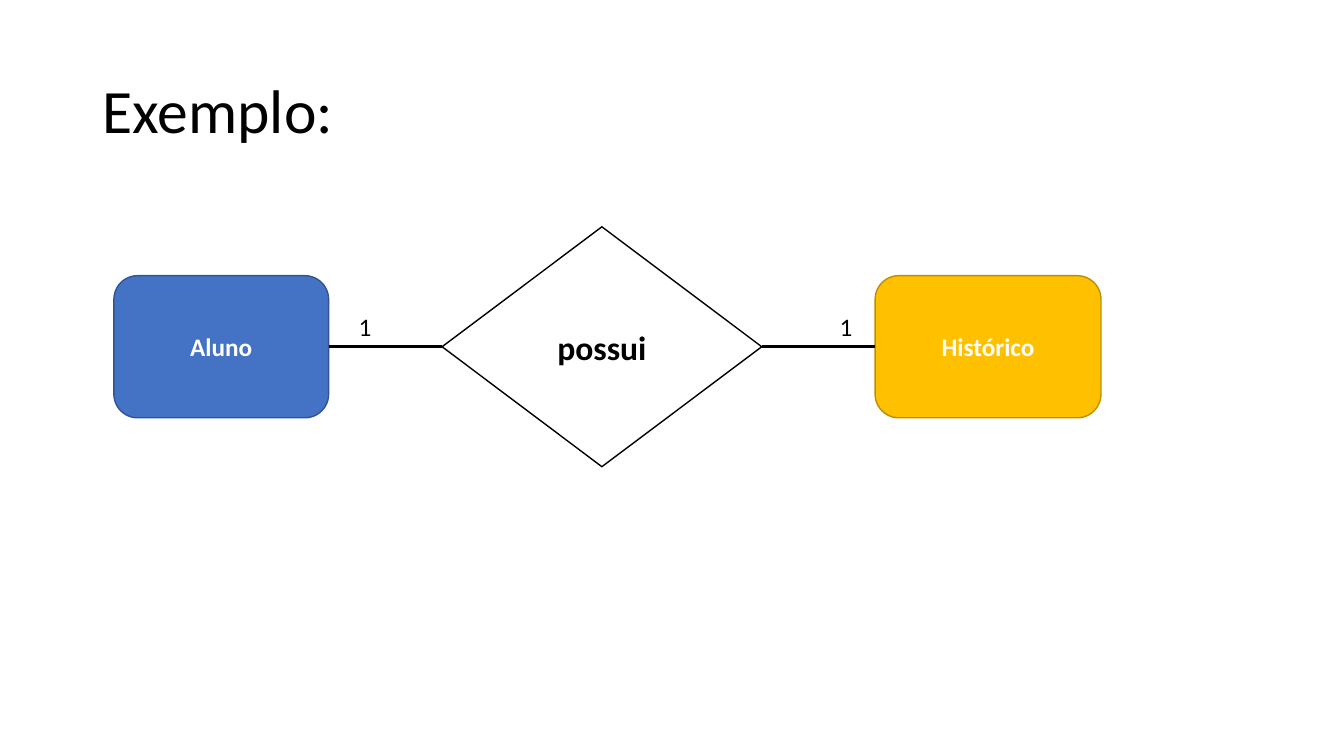
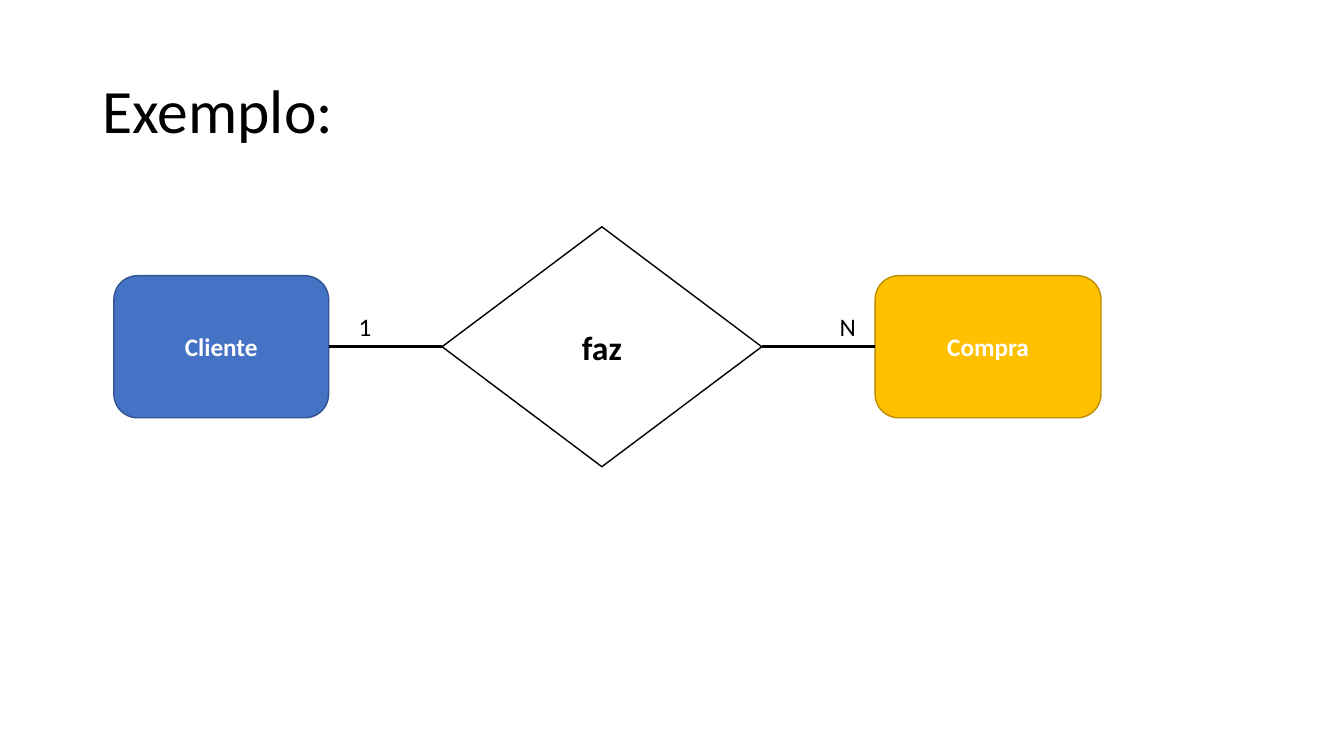
from dataclasses import dataclass

from lxml import etree
from pptx import Presentation
from pptx import util as u
from pptx.dml.color import RGBColor
from pptx.enum import shapes, text
from pptx.oxml.ns import qn


@dataclass(frozen=True)
class Theme:
    font: str = "Calibri"
    ink: str = "000000"
    paper: str = "FFFFFF"
    blue: str = "4472C4"
    blue_edge: str = "325491"
    gold: str = "FFC000"
    gold_edge: str = "BD8E00"
    title_size: float = 44
    relation_size: float = 24
    body_size: float = 18
    outline: float = 1
    link: float = 1.75


@dataclass(frozen=True)
class Box:
    left: float
    top: float
    width: float
    height: float

    @property
    def inches(self):
        return [u.Inches(side) for side in (self.left, self.top, self.width, self.height)]


THEME = Theme()
SIDE_LEFT, SIDE_RIGHT = 1, 3
TITLE_BOX = Box(0.92, 0.4, 11.5, 1.45)
DIAGRAM_BOX = Box(1.13, 2.25, 9.79, 2.38)
LEFT_WIDTH, RELATION_WIDTH, RIGHT_WIDTH = 2.13, 3.17, 2.24
ENTITY_HEIGHT = 1.41
LABEL_WIDTH, LABEL_HEIGHT = 0.36, 0.4
EXAMPLES = [
    ("Aluno", "1", "possui", "1", "Histórico"),
    ("Cliente", "1", "faz", "N", "Compra"),
]


def write_text(shape, words, size=THEME.body_size, color=THEME.ink, bold=False,
               align=text.PP_ALIGN.LEFT, anchor=text.MSO_ANCHOR.MIDDLE, spacing=None):
    frame = shape.text_frame
    frame.word_wrap = True
    frame.vertical_anchor = anchor
    para = frame.paragraphs[0]
    para.alignment = align
    para.line_spacing = spacing
    span = para.add_run()
    span.text = words
    span.font.name = THEME.font
    span.font.size = u.Pt(size)
    span.font.bold = bold
    span.font.color.rgb = RGBColor.from_string(color)


def add_node(slide, kind, box, words, fill, edge, **text_format):
    node = slide.shapes.add_shape(kind, *box.inches)
    node.shadow.inherit = False
    node.fill.solid()
    node.fill.fore_color.rgb = RGBColor.from_string(fill)
    node.line.color.rgb = RGBColor.from_string(edge)
    node.line.width = u.Pt(THEME.outline)
    write_text(node, words, bold=True, align=text.PP_ALIGN.CENTER, **text_format)
    return node


def add_link(slide, start, end):
    link = slide.shapes.add_connector(shapes.MSO_CONNECTOR.STRAIGHT, 0, 0, 0, 0)
    link.begin_connect(start, SIDE_RIGHT)
    link.end_connect(end, SIDE_LEFT)
    link.line.color.rgb = RGBColor.from_string(THEME.ink)
    link.line.width = u.Pt(THEME.link)
    etree.SubElement(link._element.spPr, qn("a:effectLst"))


def add_label(slide, left, top, words):
    label = slide.shapes.add_textbox(*Box(left, top, LABEL_WIDTH, LABEL_HEIGHT).inches)
    write_text(label, words, anchor=text.MSO_ANCHOR.TOP)


def add_title(slide, box, words):
    title = slide.shapes.add_textbox(*box.inches)
    write_text(title, words, size=THEME.title_size, spacing=0.9)


def add_diagram(slide, box, left_name, left_count, relation_name, right_count, right_name):
    gap = (box.width - LEFT_WIDTH - RELATION_WIDTH - RIGHT_WIDTH) / 2
    middle = box.top + box.height / 2
    entity_top = middle - ENTITY_HEIGHT / 2
    left_end = box.left + LEFT_WIDTH
    right_start = box.left + box.width - RIGHT_WIDTH
    rounded = shapes.MSO_SHAPE.ROUNDED_RECTANGLE

    left_entity = add_node(
        slide, rounded, Box(box.left, entity_top, LEFT_WIDTH, ENTITY_HEIGHT),
        left_name, THEME.blue, THEME.blue_edge, color=THEME.paper)
    right_entity = add_node(
        slide, rounded, Box(right_start, entity_top, RIGHT_WIDTH, ENTITY_HEIGHT),
        right_name, THEME.gold, THEME.gold_edge, color=THEME.paper)
    relation = add_node(
        slide, shapes.MSO_SHAPE.DIAMOND,
        Box(left_end + gap, box.top, RELATION_WIDTH, box.height),
        relation_name, THEME.paper, THEME.ink, size=THEME.relation_size)

    add_link(slide, left_entity, relation)
    add_link(slide, relation, right_entity)
    label_top = middle - LABEL_HEIGHT
    add_label(slide, left_end + 0.2, label_top, left_count)
    add_label(slide, right_start - 0.45, label_top, right_count)


def main():
    deck = Presentation()
    deck.slide_width, deck.slide_height = u.Inches(13.33), u.Inches(7.5)
    blank = deck.slide_layouts[6]
    for example in EXAMPLES:
        page = deck.slides.add_slide(blank)
        add_title(page, TITLE_BOX, "Exemplo:")
        add_diagram(page, DIAGRAM_BOX, *example)
    deck.save("out.pptx")


if __name__ == "__main__":
    main()
